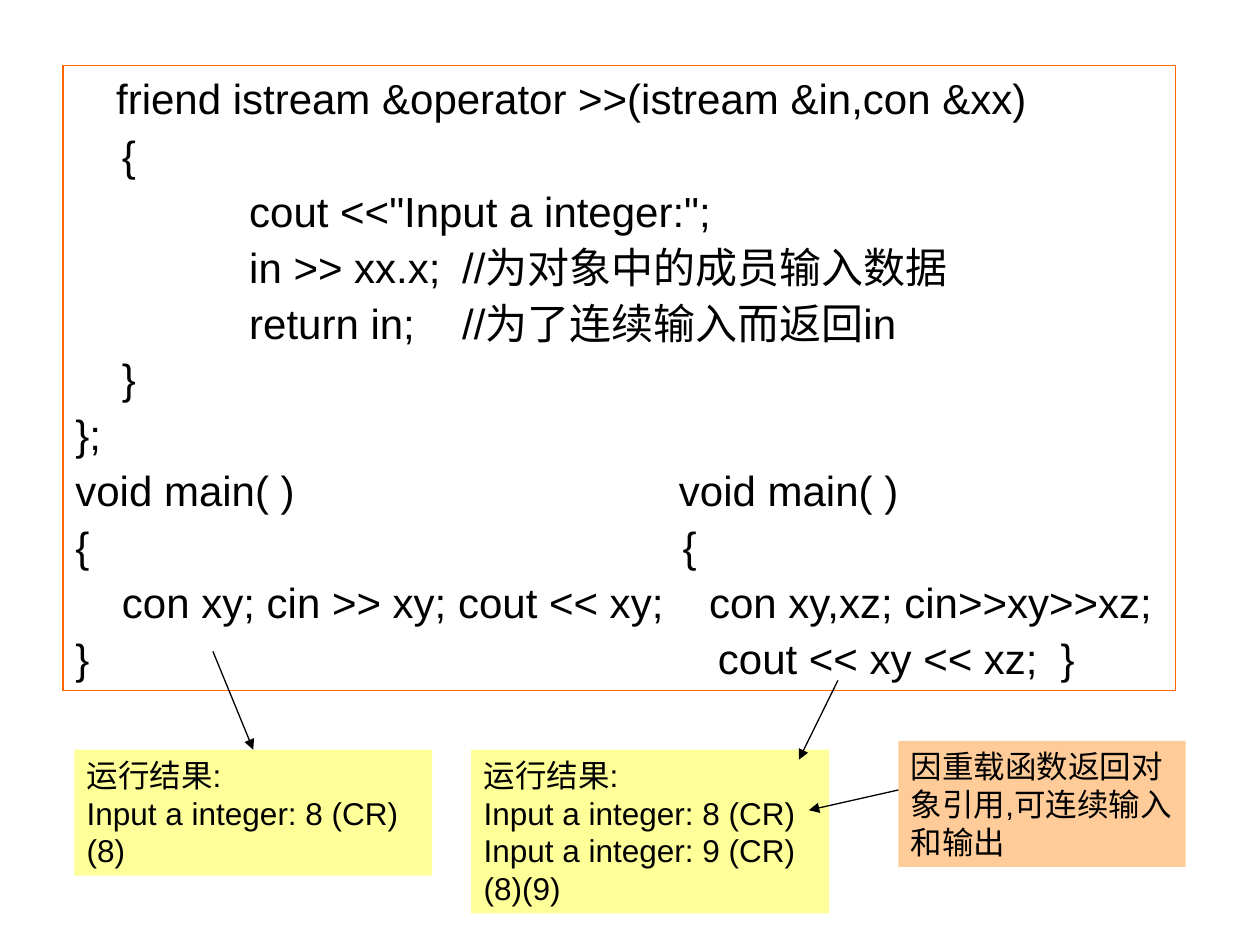
from dataclasses import dataclass

from lxml.etree import SubElement
from pptx import Presentation
from pptx.dml.color import RGBColor
from pptx.enum.shapes import MSO_CONNECTOR, MSO_SHAPE
from pptx.enum.text import MSO_ANCHOR, MSO_AUTO_SIZE, PP_ALIGN
from pptx.oxml.ns import qn
from pptx.util import Inches, Pt

BLACK = RGBColor(0x00, 0x00, 0x00)
ORANGE = RGBColor(0xFF, 0x66, 0x00)
YELLOW = RGBColor(0xFF, 0xFF, 0x99)
PEACH = RGBColor(0xFF, 0xCC, 0x99)
FONT = "Arial"

# Tab stops of the code, in inches from the text edge
BRACE, BODY, COMMENT = 0.37, 1.38, 3.07


@dataclass
class CodeLine:
    text: str
    stops: tuple[float, ...] = ()


@dataclass
class Note:
    left: float
    top: float
    width: float
    height: float
    color: RGBColor
    lines: tuple[str, ...]


@dataclass
class Arrow:
    start: tuple[float, float]
    end: tuple[float, float]


CODE = [
    CodeLine("friend istream &operator >>(istream &in,con &xx)"),
    CodeLine("\t{", (BRACE,)),
    CodeLine('\tcout <<"Input a integer:";', (BODY,)),
    CodeLine("\tin >> xx.x;\t//为对象中的成员输入数据", (BODY, COMMENT)),
    CodeLine("\treturn in;\t//为了连续输入而返回in", (BODY, COMMENT)),
    CodeLine("\t}", (BRACE,)),
    CodeLine("};"),
    CodeLine("void main( )\tvoid main( )", (4.79,)),
    CodeLine("{\t{", (4.82,)),
    CodeLine("\tcon xy; cin >> xy; cout << xy;\tcon xy,xz; cin>>xy>>xz;", (BRACE, 5.03)),
    CodeLine("}\tcout << xy << xz;\t}", (5.1, 7.82)),
]

NOTES = [
    Note(0.59, 5.95, 2.84, 1, YELLOW,
         ("运行结果:", "Input a integer: 8 (CR)", "(8)")),
    Note(3.74, 5.95, 2.84, 1.3, YELLOW,
         ("运行结果:", "Input a integer: 8 (CR)", "Input a integer: 9 (CR)", "(8)(9)")),
    Note(7.13, 5.88, 2.28, 1, PEACH, ("因重载函数返回对象引用,可连续输入和输出",)),
]

ARROWS = [
    Arrow((1.69, 5.17), (2.01, 5.95)),
    Arrow((6.65, 5.4), (6.34, 6.03)),
    Arrow((7.13, 6.27), (6.42, 6.43)),
]


def add_box(page, left: float, top: float, width: float, height: float):
    box = page.shapes.add_shape(
        MSO_SHAPE.RECTANGLE, Inches(left), Inches(top), Inches(width), Inches(height))
    box.shadow.inherit = False
    box.text_frame.word_wrap = True
    box.text_frame.vertical_anchor = MSO_ANCHOR.TOP
    return box


def add_span(para, text: str, size: float) -> None:
    span = para.add_run()
    span.text = text
    span.font.name = FONT
    span.font.size = Pt(size)
    span.font.color.rgb = BLACK


def write_line(box, index: int, text: str, *, size: float, spacing: float = 1.0,
               before: float = 0, stops: tuple[float, ...] = (),
               lead: str = "", lead_size: float = 28) -> None:
    frame = box.text_frame
    para = frame.add_paragraph() if index else frame.paragraphs[0]
    para.alignment = PP_ALIGN.LEFT
    para.line_spacing = spacing
    if index:
        para.space_before = Pt(before)
    if stops:
        tabs = SubElement(para._p.get_or_add_pPr(), qn("a:tabLst"))
        for stop in stops:
            SubElement(tabs, qn("a:tab"), pos=str(int(Inches(stop))), algn="l")
    if lead:
        add_span(para, lead, lead_size)
    add_span(para, text, size)


def add_code(page, lines: list[CodeLine]) -> None:
    box = add_box(page, 0.5, 0.52, 8.83, 4.96)
    box.fill.background()
    box.line.color.rgb = ORANGE
    box.line.width = Pt(0.75)
    for index, line in enumerate(lines):
        write_line(box, index, line.text, size=24, spacing=0.9, before=6,
                   stops=line.stops, lead="" if index else "   ")


def add_note(page, note: Note) -> None:
    box = add_box(page, note.left, note.top, note.width, note.height)
    box.text_frame.auto_size = MSO_AUTO_SIZE.SHAPE_TO_FIT_TEXT
    box.fill.solid()
    box.fill.fore_color.rgb = note.color
    box.line.fill.background()
    for index, text in enumerate(note.lines):
        write_line(box, index, text, size=18)


def add_arrow(page, arrow: Arrow) -> None:
    points = [Inches(value) for value in arrow.start + arrow.end]
    connector = page.shapes.add_connector(MSO_CONNECTOR.STRAIGHT, *points)
    connector.line.color.rgb = BLACK
    connector.line.width = Pt(0.75)
    SubElement(connector.line._get_or_add_ln(), qn("a:tailEnd"), type="triangle")
    SubElement(connector._element.spPr, qn("a:effectLst"))


def main() -> None:
    deck = Presentation()
    deck.slide_width, deck.slide_height = Inches(10), Inches(7.5)
    page = deck.slides.add_slide(deck.slide_layouts[6])

    # Code listing
    add_code(page, CODE)

    # Program output and remark
    for note in NOTES:
        add_note(page, note)

    # Arrows from code and remark to output
    for arrow in ARROWS:
        add_arrow(page, arrow)

    deck.save("out.pptx")


if __name__ == "__main__":
    main()
